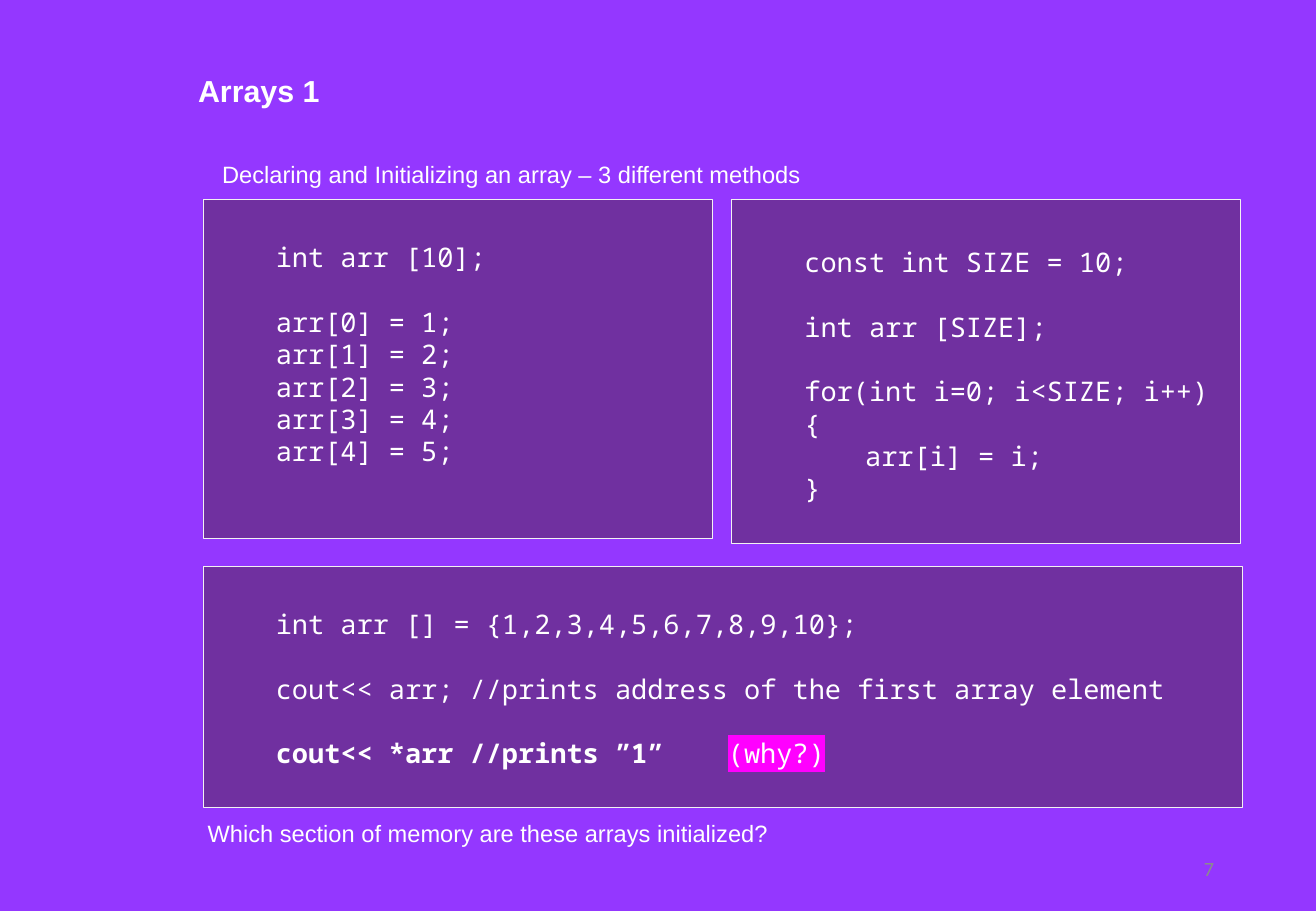
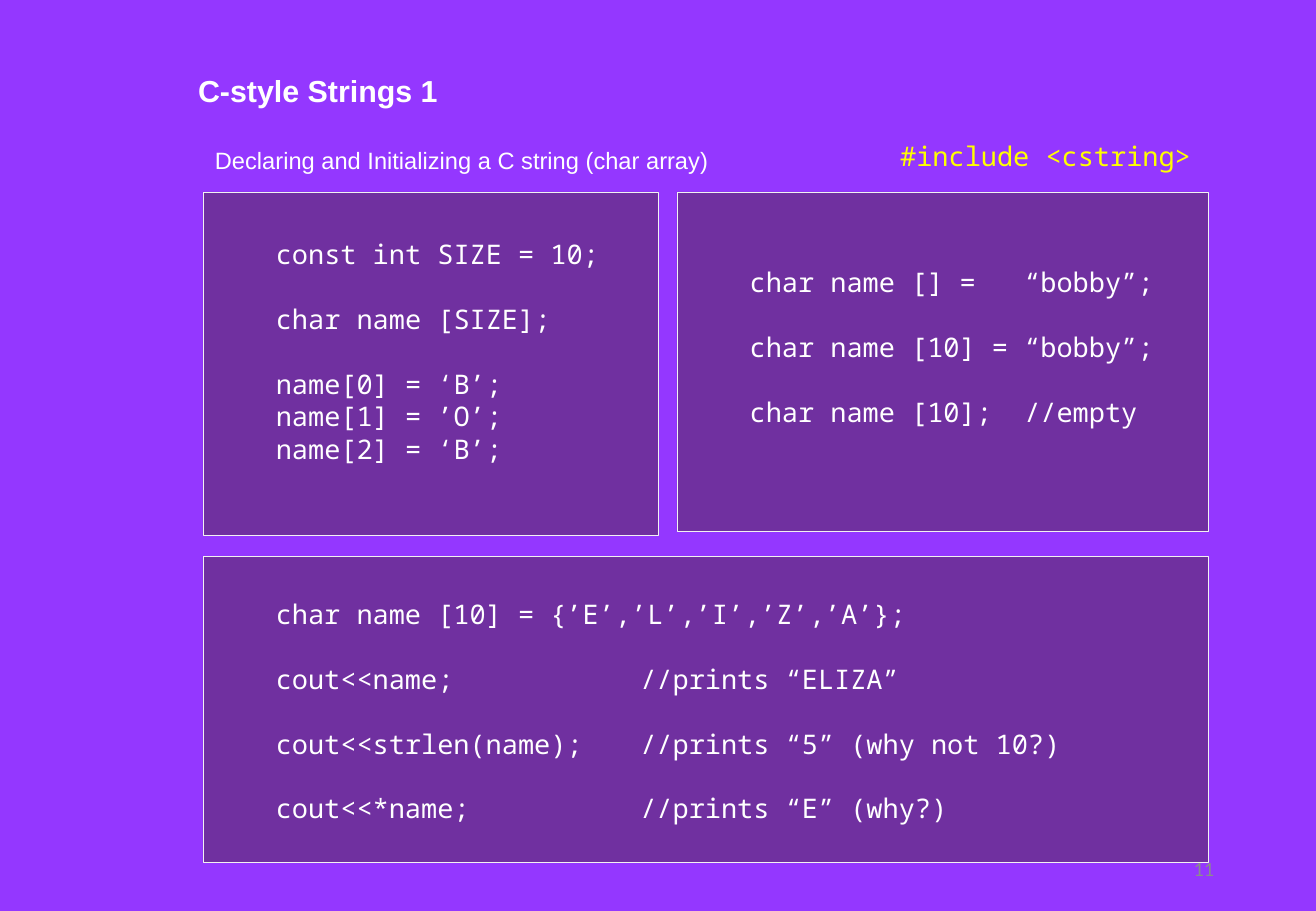
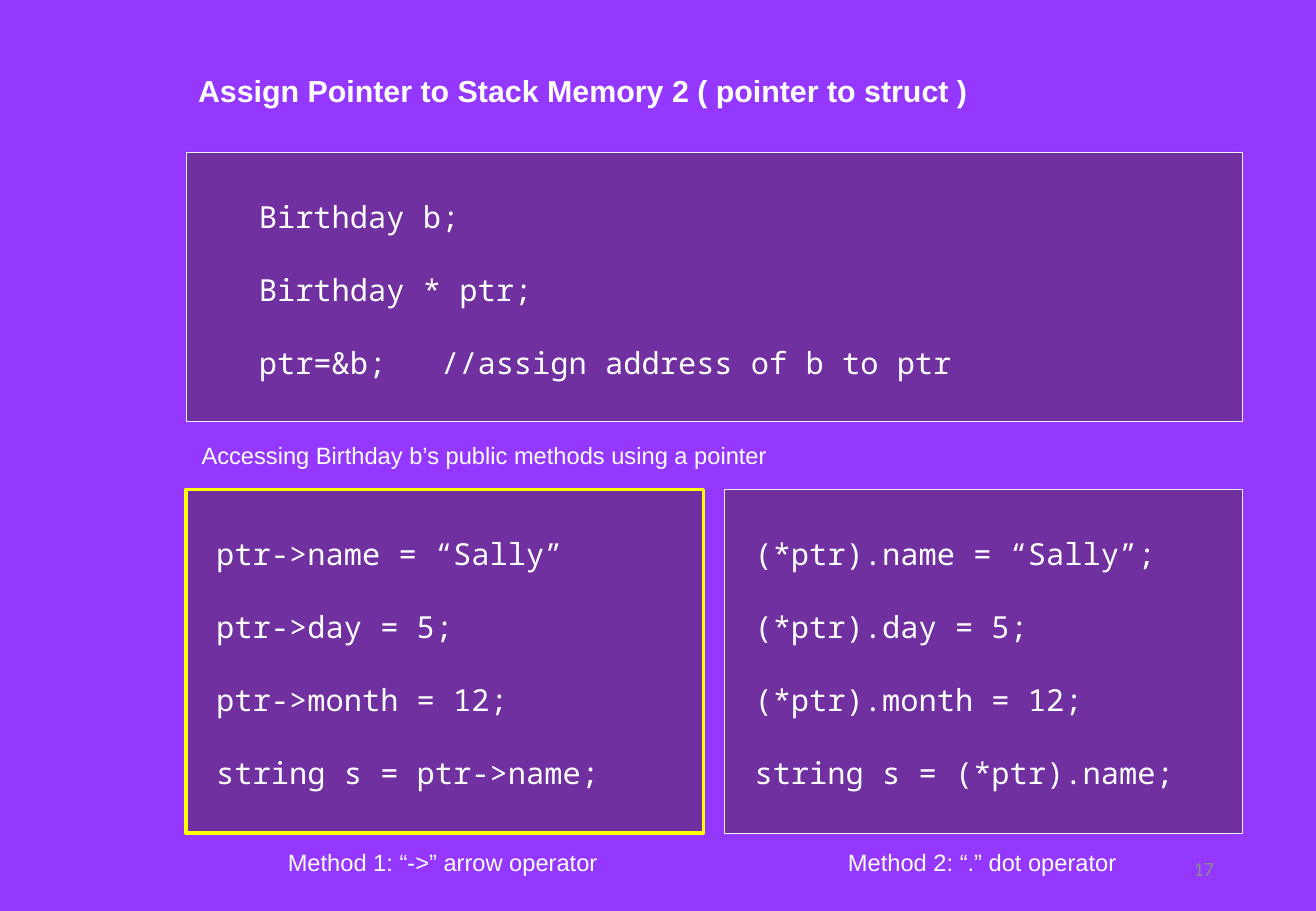
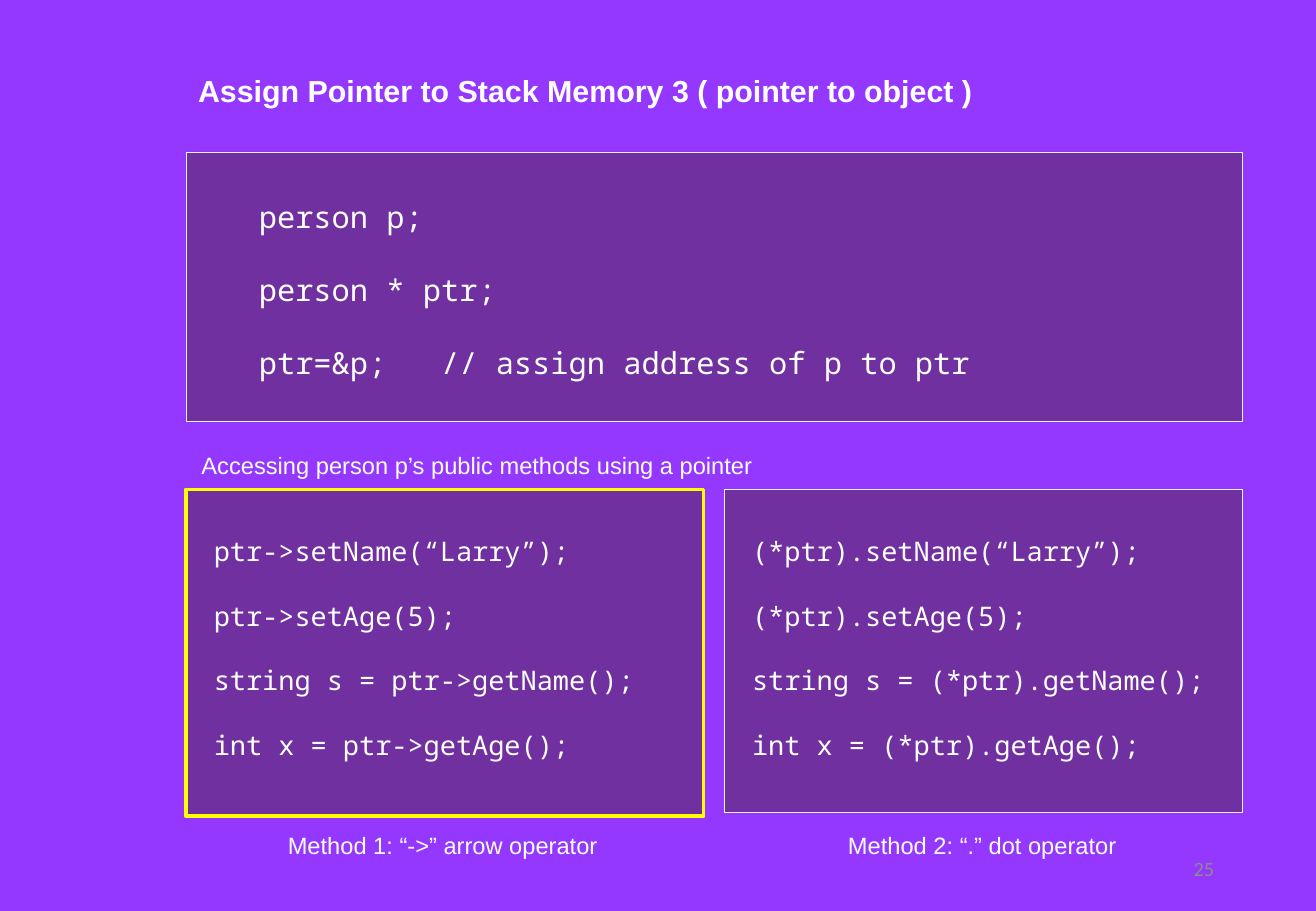
from dataclasses import dataclass

from lxml.etree import SubElement
from pptx import Presentation
from pptx.dml.color import RGBColor
from pptx.enum.shapes import MSO_SHAPE
from pptx.enum.text import MSO_ANCHOR, MSO_AUTO_SIZE, PP_ALIGN
from pptx.oxml.ns import qn
from pptx.slide import Slide
from pptx.text.text import Font
from pptx.util import Pt

PX = 9144  # 100 px to the inch
HEX = {
    "back": "9437FF",
    "panel": "7030A0",
    "rim": "F2F2F2",
    "text": "FFFFFF",
    "accent": "FFFF00",
    "mark": "FF00FF",
    "number": "8C8C8C",
}
SANS, MONO, PLAIN = "Arial", "Noto Sans Mono", "Calibri"
PITCH = 1.2


@dataclass(frozen=True)
class Marked:
    """A code line with a bold part, a tab and a highlighted hint."""
    code: str
    hint: str


@dataclass(frozen=True)
class Panel:
    """A code box; an empty line opens a gap above the next one."""
    x: int
    y: int
    w: int
    h: int
    lines: tuple[str | Marked, ...]
    size: int = 16
    left: int = 60
    top: int = 34
    tab: int = 50
    hot: bool = False


@dataclass(frozen=True)
class Label:
    x: int
    y: int
    w: int
    text: str
    face: str = SANS
    size: int = 14
    color: str = "text"
    h: int = 34
    align: PP_ALIGN = PP_ALIGN.LEFT
    anchor: MSO_ANCHOR = MSO_ANCHOR.TOP


@dataclass(frozen=True)
class Page:
    title: str
    number: int
    panels: tuple[Panel, ...]
    labels: tuple[Label, ...]


def rgb(name: str) -> RGBColor:
    return RGBColor.from_string(HEX[name])


def style(font: Font, face: str, size: int, color: str = "text", bold: bool = False) -> None:
    font.name, font.size, font.bold = face, Pt(size), bold
    font.color.rgb = rgb(color)


def spaced(*lines: str) -> tuple[str, ...]:
    """Put a gap between all lines."""
    return tuple(part for line in lines for part in ("", line))[1:]


def draw_panel(slide: Slide, box: Panel) -> None:
    shape = slide.shapes.add_shape(
        MSO_SHAPE.RECTANGLE, box.x * PX, box.y * PX, box.w * PX, box.h * PX)
    shape.shadow.inherit = False
    shape.fill.solid()
    shape.fill.fore_color.rgb = rgb("panel")
    shape.line.color.rgb = rgb("accent" if box.hot else "rim")
    shape.line.width = Pt(2.25 if box.hot else 0.25)
    frame = shape.text_frame
    frame.word_wrap = True
    frame.vertical_anchor = MSO_ANCHOR.TOP
    frame.margin_left, frame.margin_top = box.left * PX, box.top * PX
    pitch = Pt(box.size * PITCH)
    para, gap = frame.paragraphs[0], False
    for index, line in enumerate(box.lines):
        if line == "":
            gap = True
            continue
        if index:
            para = frame.add_paragraph()
        para.alignment = PP_ALIGN.LEFT
        para.line_spacing = pitch
        para.space_before = pitch if gap else Pt(0)
        gap = False
        tabs = SubElement(para._p.get_or_add_pPr(), qn("a:tabLst"))
        SubElement(tabs, qn("a:tab"), pos=str(box.tab * PX), algn="l")
        style(para.font, MONO, box.size)
        if isinstance(line, Marked):
            code, hint = para.add_run(), para.add_run()
            code.text, hint.text = line.code + "\t", line.hint
            code.font.bold = True
            light = SubElement(hint._r.get_or_add_rPr(), qn("a:highlight"))
            SubElement(light, qn("a:srgbClr"), val=HEX["mark"])
        else:
            para.text = line


def draw_label(slide: Slide, label: Label) -> None:
    box = slide.shapes.add_textbox(
        label.x * PX, label.y * PX, label.w * PX, label.h * PX)
    frame = box.text_frame
    frame.word_wrap = True
    frame.vertical_anchor = label.anchor
    para = frame.paragraphs[0]
    para.text, para.alignment = label.text, label.align
    style(para.font, label.face, label.size, label.color)


def draw_title(slide: Slide, text: str) -> None:
    frame = slide.shapes.title.text_frame
    frame.auto_size = MSO_AUTO_SIZE.NONE
    frame.vertical_anchor = MSO_ANCHOR.TOP
    para = frame.paragraphs[0]
    para.text, para.alignment = text, PP_ALIGN.LEFT
    style(para.font, SANS, 18, bold=True)


def compare(title: str, number: int, setup: tuple[str, ...], note: Label,
            arrow: tuple[str, ...], dot: tuple[str, ...], size: int,
            heights: tuple[int, int], foot: int) -> Page:
    """Setup code above two ways to reach a member."""
    left, top = (25, 38) if size == 18 else (23, 37)
    panels = (
        Panel(153, 125, 869, 222, setup, 18, top=38, tab=150),
        Panel(153, 403, 426, heights[0], arrow, size, left, top, hot=True),
        Panel(596, 403, 426, heights[1], dot, size, left, top),
    )
    labels = (
        note,
        Label(227, foot, 286, "Method 1: “->” arrow operator"),
        Label(688, foot, 252, "Method 2: “.” dot operator"),
    )
    return Page(title, number, panels, labels)


PAGES = (
    Page(
        "Arrays 1", 7,
        (
            Panel(167, 164, 419, 279, (
                "int arr [10];", "",
                *(f"arr[{i}] = {i + 1};" for i in range(5)))),
            Panel(167, 466, 855, 199, (
                "int arr [] = {1,2,3,4,5,6,7,8,9,10};", "",
                "cout<< arr; //prints address of the first array element", "",
                Marked("cout<< *arr //prints ”1”", "(why?)")), tab=372),
            Panel(602, 164, 419, 283, (
                "const int SIZE = 10;", "", "int arr [SIZE];", "",
                "for(int i=0; i<SIZE; i++)", "{", "\tarr[i] = i;", "}"), top=38),
        ),
        (
            Label(173, 127, 514, "Declaring and Initializing an array – 3 different methods"),
            Label(161, 669, 494, "Which section of memory are these arrays initialized?"),
        ),
    ),
    Page(
        "C-style Strings 1", 11,
        (
            Panel(167, 158, 375, 283, (
                "const int SIZE = 10;", "", "char name [SIZE];", "",
                "name[0] = ‘B’;", "name[1] = ’O’;", "name[2] = ‘B’;"), top=38),
            Panel(167, 458, 827, 252, spaced(
                "char name [10] = {’E’,’L’,’I’,’Z’,’A’};",
                "cout<<name;\t//prints “ELIZA”",
                "cout<<strlen(name);\t//prints “5” (why not 10?)",
                "cout<<*name;\t//prints “E” (why?)"), tab=300),
            Panel(557, 158, 437, 279, spaced(
                "char name [] =\t“bobby”;",
                "char name [10] =\t“bobby”;",
                "char name [10];\t//empty"), top=61, tab=226),
        ),
        (
            Label(167, 115, 438, "Declaring and Initializing a C string (char array)"),
            Label(731, 110, 273, "#include <cstring>", MONO, 16, "accent", 37),
        ),
    ),
    compare(
        "Assign Pointer to Stack Memory 2 ( pointer to struct )", 17,
        spaced("Birthday b;", "Birthday * ptr;", "ptr=&b;\t//assign address of b to ptr"),
        Label(156, 358, 498, "Accessing Birthday b’s public methods using a pointer"),
        spaced("ptr->name = “Sally”", "ptr->day = 5;", "ptr->month = 12;",
               "string s = ptr->name;"),
        spaced("(*ptr).name = “Sally”;", "(*ptr).day = 5;", "(*ptr).month = 12;",
               "string s = (*ptr).name;"),
        18, (283, 283), 693,
    ),
    compare(
        "Assign Pointer to Stack Memory 3 ( pointer to object )", 25,
        spaced("person p;", "person * ptr;", "ptr=&p;\t// assign address of p to ptr"),
        Label(156, 366, 486, "Accessing person p’s public methods using a pointer"),
        spaced("ptr->setName(“Larry”);", "ptr->setAge(5);",
               "string s = ptr->getName();", "int x = ptr->getAge();"),
        spaced("(*ptr).setName(“Larry”);", "(*ptr).setAge(5);",
               "string s = (*ptr).getName();", "int x = (*ptr).getAge();"),
        16, (269, 266), 679,
    ),
)


def main() -> None:
    deck = Presentation()
    deck.slide_width, deck.slide_height = 1083 * PX, 750 * PX
    back = deck.slide_master.background.fill
    back.solid()
    back.fore_color.rgb = rgb("back")
    layout = deck.slide_layouts[5]
    title = layout.placeholders[0]
    title.left, title.top, title.width, title.height = 153 * PX, 54 * PX, 869 * PX, 40 * PX
    for page in PAGES:
        slide = deck.slides.add_slide(layout)
        draw_title(slide, page.title)
        for panel in page.panels:
            draw_panel(slide, panel)
        for label in page.labels:
            draw_label(slide, label)
        draw_label(slide, Label(765, 695, 244, str(page.number), PLAIN, 12, "number",
                                40, PP_ALIGN.RIGHT, MSO_ANCHOR.MIDDLE))
    deck.save("out.pptx")


if __name__ == "__main__":
    main()
